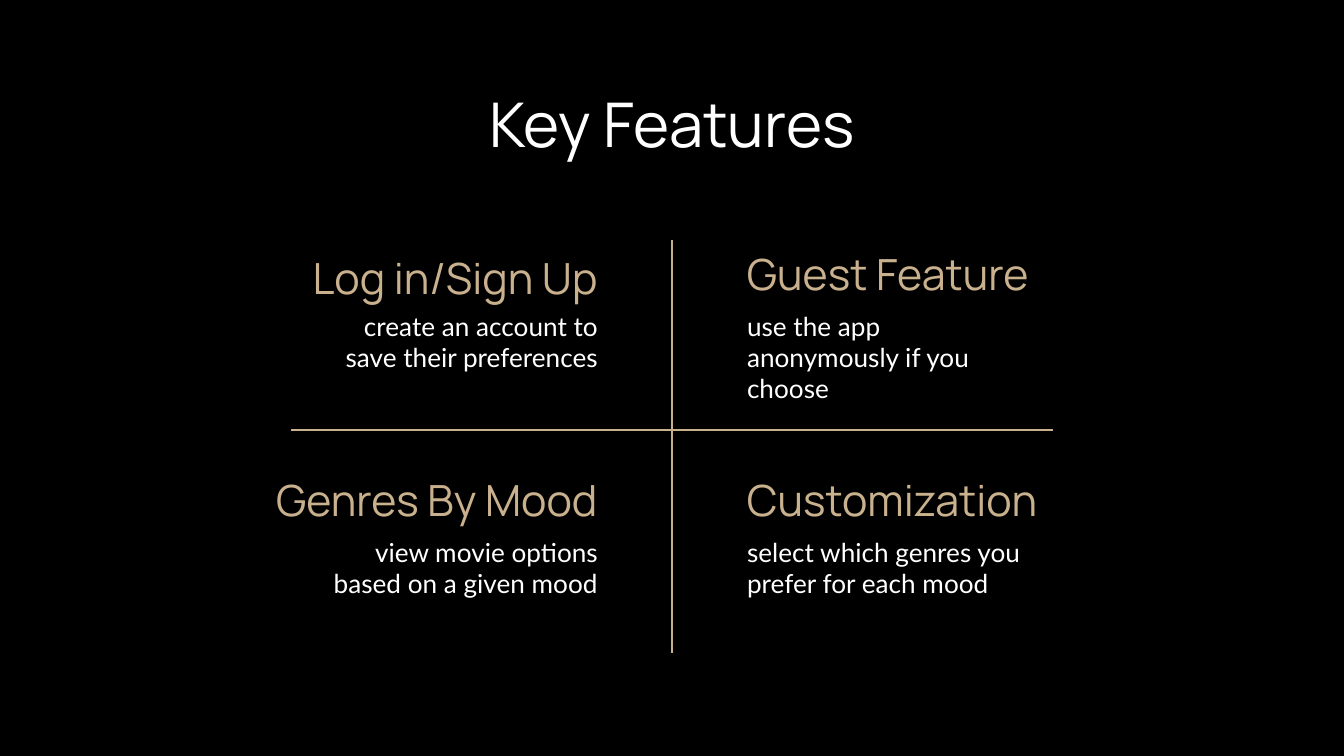
from dataclasses import dataclass

from lxml.etree import SubElement
from pptx import Presentation
from pptx.dml.color import RGBColor
from pptx.enum.shapes import MSO_CONNECTOR
from pptx.enum.text import MSO_ANCHOR, PP_ALIGN
from pptx.oxml.ns import qn
from pptx.util import Emu, Pt

EMU_PER_PX = 914400 / 134.4


@dataclass(frozen=True)
class Theme:
    background: RGBColor = RGBColor(0x00, 0x00, 0x00)
    text: RGBColor = RGBColor(0xFF, 0xFF, 0xFF)
    accent: RGBColor = RGBColor(0xC9, 0xB1, 0x8E)
    heading_font: str = "Manrope"
    body_font: str = "Lato"
    title_size: int = 33
    heading_size: int = 23
    body_size: int = 14
    line_width: float = 1.5


@dataclass(frozen=True)
class Feature:
    heading: str
    body: str
    column: int
    row: int
    heading_width: int
    line_spacing: float = 1.0


THEME = Theme()
INSET = 13
LEFT_EDGE, RIGHT_EDGE = 734, 611
ROW_TOP, ROW_PITCH = 237, 226
HEADING_HEIGHT = 73
BODY_OFFSET, BODY_WIDTH, BODY_HEIGHT = 60, 301, 99

FEATURES = (
    Feature("Log in/Sign Up", "create an account to save their preferences", 0, 0, 339, 1.15),
    Feature("Guest Feature", "use the app anonymously if you choose", 1, 0, 349),
    Feature("Genres By Mood", "view movie options based on a given mood", 0, 1, 386),
    Feature("Customization", "select which genres you prefer for each mood", 1, 1, 349),
)


def px(value):
    return Emu(round(value * EMU_PER_PX))


def add_text(slide, text, box, font_name, size, color, alignment,
             anchor=MSO_ANCHOR.TOP, line_spacing=1.0):
    shape = slide.shapes.add_textbox(*map(px, box))
    frame = shape.text_frame
    frame.text = text
    frame.word_wrap = True
    frame.vertical_anchor = anchor
    frame.margin_left = frame.margin_right = px(INSET)
    frame.margin_top = frame.margin_bottom = px(INSET)
    paragraph = frame.paragraphs[0]
    paragraph.alignment = alignment
    paragraph.line_spacing = line_spacing
    font = paragraph.runs[0].font
    font.name = font_name
    font.size = Pt(size)
    font.color.rgb = color


def add_line(slide, *ends):
    line = slide.shapes.add_connector(MSO_CONNECTOR.STRAIGHT, *map(px, ends))
    line.line.color.rgb = THEME.accent
    line.line.width = Pt(THEME.line_width)
    SubElement(line._element.spPr, qn("a:effectLst"))


def add_feature(slide, feature):
    top = ROW_TOP + feature.row * ROW_PITCH
    alignment = PP_ALIGN.LEFT if feature.column else PP_ALIGN.RIGHT

    def left(width):
        return LEFT_EDGE if feature.column else RIGHT_EDGE - width

    heading_box = (left(feature.heading_width), top, feature.heading_width, HEADING_HEIGHT)
    add_text(slide, feature.heading, heading_box, THEME.heading_font, THEME.heading_size,
             THEME.accent, alignment, MSO_ANCHOR.MIDDLE, feature.line_spacing)
    body_box = (left(BODY_WIDTH), top + BODY_OFFSET, BODY_WIDTH, BODY_HEIGHT)
    add_text(slide, feature.body, body_box, THEME.body_font, THEME.body_size,
             THEME.text, alignment)


def main():
    presentation = Presentation()
    presentation.slide_width = px(1344)
    presentation.slide_height = px(756)
    slide = presentation.slides.add_slide(presentation.slide_layouts[6])
    fill = slide.background.fill
    fill.solid()
    fill.fore_color.rgb = THEME.background

    add_line(slide, 672, 240, 672, 653)
    add_line(slide, 1053, 430, 291, 430)
    add_text(slide, "Key Features", (102, 73, 1140, 85), THEME.heading_font,
             THEME.title_size, THEME.text, PP_ALIGN.CENTER)
    for feature in FEATURES:
        add_feature(slide, feature)

    presentation.save("out.pptx")


if __name__ == "__main__":
    main()
